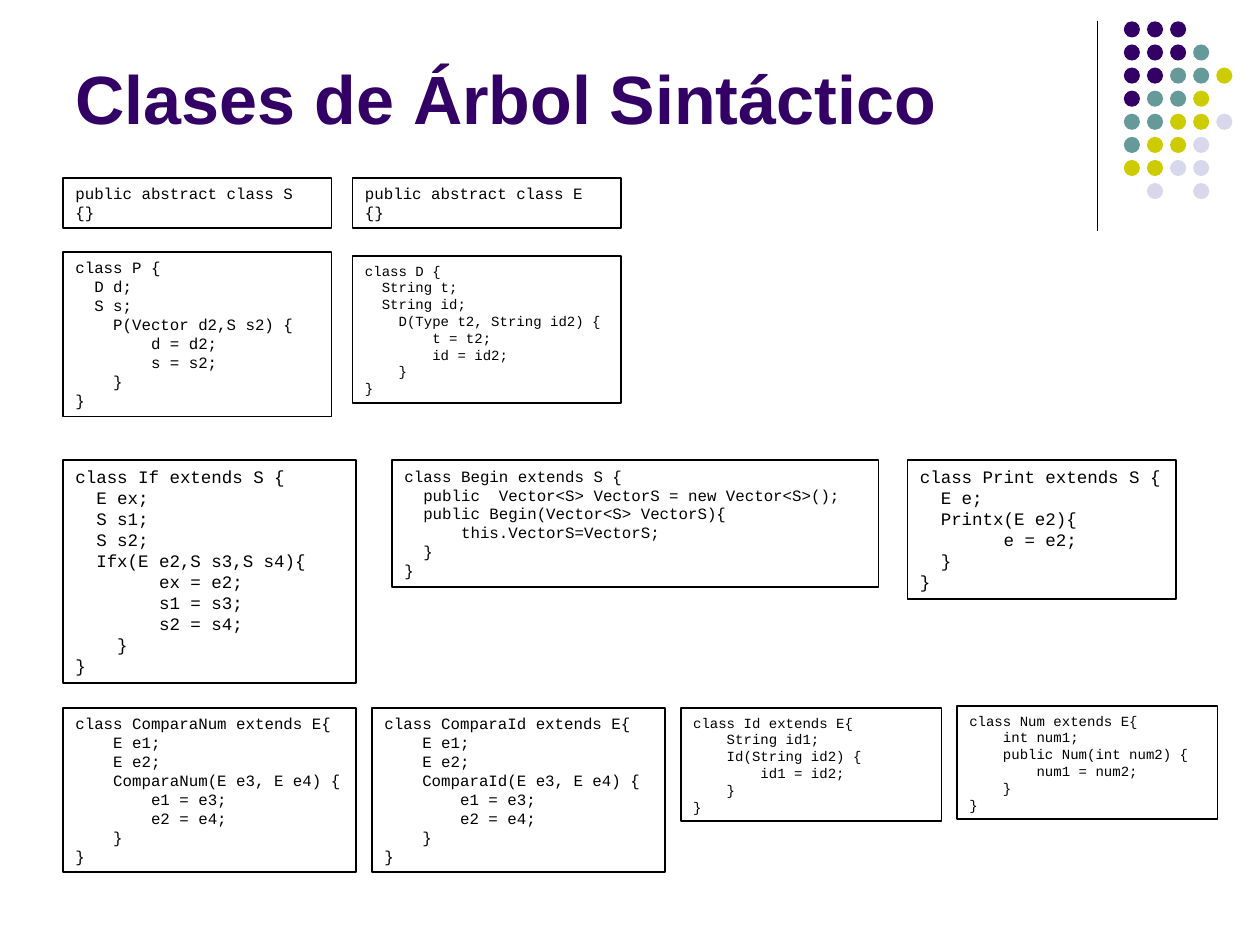
from dataclasses import dataclass

from lxml.etree import SubElement
from pptx import Presentation
from pptx.dml.color import RGBColor
from pptx.enum.shapes import MSO_CONNECTOR as Connector, MSO_SHAPE as Shape
from pptx.enum.text import MSO_ANCHOR as Anchor, MSO_AUTO_SIZE as AutoSize, PP_ALIGN as Align
from pptx.oxml.ns import qn
from pptx.util import Pt


@dataclass(frozen=True)
class Theme:
    purple: str = "330066"
    teal: str = "669999"
    olive: str = "CCCC00"
    lavender: str = "D8D8EC"
    ink: str = "000000"
    paper: str = "FFFFFF"
    title_font: str = "Arial"
    code_font: str = "Courier New"
    title_size: int = 39
    small: int = 8
    medium: int = 9
    large: int = 10
    line_spacing: float = 1.2


@dataclass(frozen=True)
class CodeBox:
    left: float
    top: float
    width: float
    height: float
    size: int
    code: str


THEME = Theme()

# Shared edges and widths of the code boxes
LEFT, SECOND = 36, 201.5
ABSTRACT_TOP, STATEMENT_TOP, EXPRESSION_TOP = 101.5, 263, 404.5
NARROW, WIDE, COMPACT = 153.4, 167.5, 149

CODE_BOXES = [
    CodeBox(SECOND, 146.2, NARROW, 84.3, THEME.small, """class D {
  String t;
  String id;
    D(Type t2, String id2) {
        t = t2;
        id = id2;
    }
}"""),
    CodeBox(LEFT, 144, NARROW, 94, THEME.medium, """class P {
  D d;
  S s;
    P(Vector d2,S s2) {
        d = d2;
        s = s2;
    }
}"""),
    CodeBox(LEFT, STATEMENT_TOP, WIDE, 127.4, THEME.large, """class If extends S {
  E ex;
  S s1;
  S s2;
  Ifx(E e2,S s3,S s4){
        ex = e2;
        s1 = s3;
        s2 = s4;
    }
}"""),
    CodeBox(LEFT, ABSTRACT_TOP, NARROW, 29, THEME.medium, "public abstract class S {}"),
    CodeBox(224, STATEMENT_TOP, 278, 72.4, THEME.medium, """class Begin extends S {
  public  Vector<S> VectorS = new Vector<S>();
  public Begin(Vector<S> VectorS){
      this.VectorS=VectorS;
  }
}"""),
    CodeBox(518.6, STATEMENT_TOP, NARROW, 79.4, THEME.large, """class Print extends S {
  E e;
  Printx(E e2){
        e = e2;
  }
}"""),
    CodeBox(SECOND, ABSTRACT_TOP, NARROW, 29, THEME.medium, "public abstract class E {}"),
    *(CodeBox(left, EXPRESSION_TOP, WIDE, 94, THEME.medium, f"""class {name} extends E{{
    E e1;
    E e2;
    {name}(E e3, E e4) {{
        e1 = e3;
        e2 = e4;
    }}
}}""") for left, name in ((LEFT, "ComparaNum"), (212.6, "ComparaId"))),
    CodeBox(389, EXPRESSION_TOP, COMPACT, 64.8, THEME.small, """class Id extends E{
    String id1;
    Id(String id2) {
        id1 = id2;
    }
}"""),
    CodeBox(546.8, 403.4, COMPACT, 64.8, THEME.small, """class Num extends E{
    int num1;
    public Num(int num2) {
        num1 = num2;
    }
}"""),
]

# Dot pattern: one letter per colour, a dot for an empty place
DOT_COLORS = {"P": THEME.purple, "T": THEME.teal, "O": THEME.olive, "L": THEME.lavender}
DOT_ROWS = ("PPP..", "PPPT.", "PPTTO", "PTTO.", "TTOOL", "TOOL.", "OOLL.", ".L.L.")
DOT_LEFT, DOT_TOP, DOT_PITCH, DOT_SIZE = 642.2, 12.2, 13.2, 9.2


def color(value: str) -> RGBColor:
    return RGBColor.from_string(value)


def add_text(paragraph, text: str, *, font: str, size: float, fill: str, bold: bool = False) -> None:
    paragraph.alignment = Align.LEFT
    run = paragraph.add_run()
    run.text = text
    run.font.name = font
    run.font.size = Pt(size)
    run.font.bold = bold
    run.font.color.rgb = color(fill)


def add_code_box(slide, box: CodeBox) -> None:
    shape = slide.shapes.add_shape(
        Shape.RECTANGLE, Pt(box.left), Pt(box.top), Pt(box.width), Pt(box.height))
    shape.shadow.inherit = False
    shape.fill.solid()
    shape.fill.fore_color.rgb = color(THEME.paper)
    shape.line.color.rgb = color(THEME.ink)
    shape.line.width = Pt(1)
    frame = shape.text_frame
    frame.word_wrap = True
    frame.auto_size = AutoSize.NONE
    frame.vertical_anchor = Anchor.TOP
    frame.margin_left = frame.margin_right = Pt(7.2)
    frame.margin_top = frame.margin_bottom = Pt(3.6)
    for index, line in enumerate(box.code.splitlines()):
        paragraph = frame.add_paragraph() if index else frame.paragraphs[0]
        paragraph.line_spacing = Pt(box.size * THEME.line_spacing)
        add_text(paragraph, line, font=THEME.code_font, size=box.size, fill=THEME.ink)


def add_dots(slide) -> None:
    group = slide.shapes.add_group_shape()
    for row, letters in enumerate(DOT_ROWS):
        for column, letter in enumerate(letters):
            if letter not in DOT_COLORS:
                continue
            dot = group.shapes.add_shape(
                Shape.OVAL, Pt(DOT_LEFT + column * DOT_PITCH), Pt(DOT_TOP + row * DOT_PITCH),
                Pt(DOT_SIZE), Pt(DOT_SIZE))
            dot.shadow.inherit = False
            dot.fill.solid()
            dot.fill.fore_color.rgb = color(DOT_COLORS[letter])
            dot.line.fill.background()


def add_divider(slide) -> None:
    line = slide.shapes.add_connector(Connector.STRAIGHT, Pt(627), Pt(12), Pt(627), Pt(132))
    line.line.color.rgb = color(THEME.ink)
    line.line.width = Pt(0.75)
    SubElement(line._element.spPr, qn("a:effectLst"))


def set_title(slide, text: str) -> None:
    title = slide.shapes.title
    title.left, title.top, title.width, title.height = Pt(36), Pt(9.4), Pt(594), Pt(73.4)
    frame = title.text_frame
    frame.word_wrap = True
    frame.auto_size = AutoSize.NONE
    frame.vertical_anchor = Anchor.BOTTOM
    add_text(frame.paragraphs[0], text, font=THEME.title_font, size=THEME.title_size,
             fill=THEME.purple, bold=True)


def main() -> None:
    presentation = Presentation()
    presentation.slide_width, presentation.slide_height = Pt(720), Pt(540)
    slide = presentation.slides.add_slide(presentation.slide_layouts[5])

    # Decoration
    add_divider(slide)
    add_dots(slide)

    # Title and code
    set_title(slide, "Clases de Árbol Sintáctico")
    for box in CODE_BOXES:
        add_code_box(slide, box)

    presentation.save("out.pptx")


if __name__ == "__main__":
    main()
